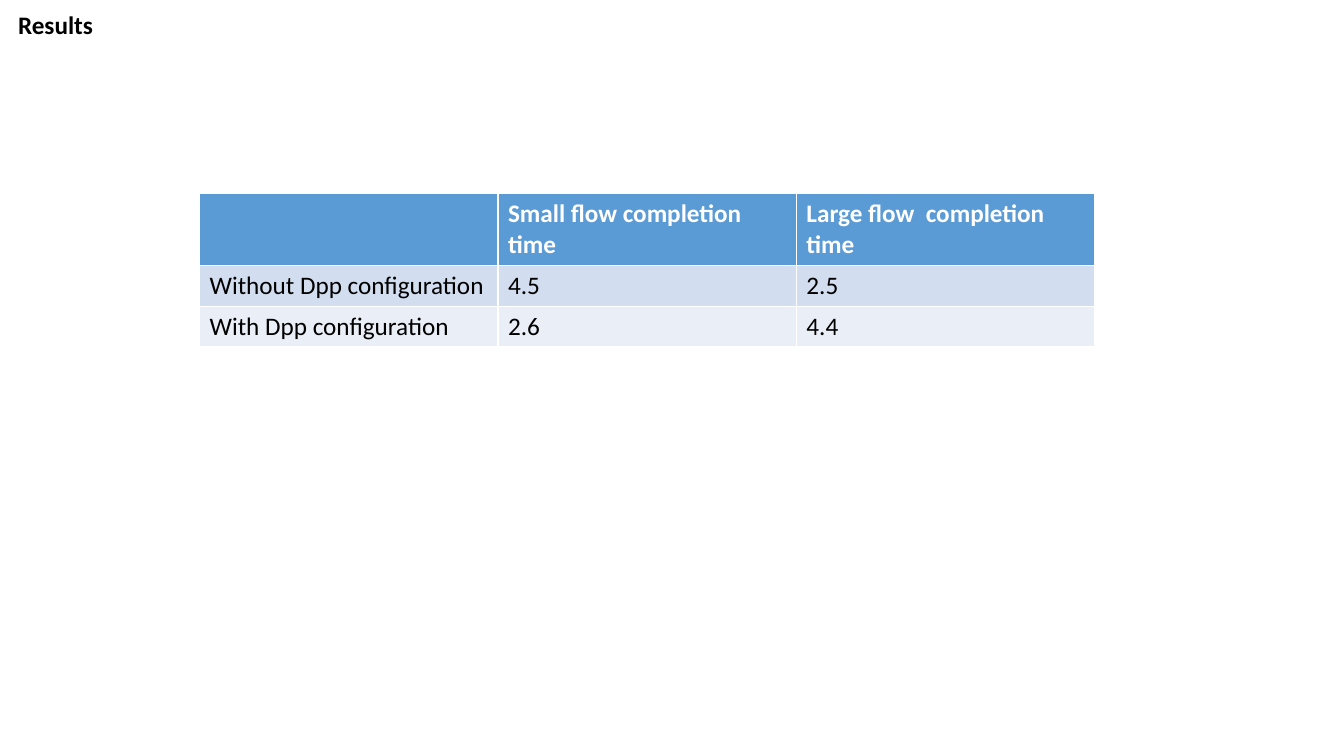
from pptx import Presentation
from pptx.dml.color import RGBColor
from pptx.enum.text import MSO_ANCHOR, MSO_AUTO_SIZE, PP_ALIGN
from pptx.util import Cm, Pt

TOP = MSO_ANCHOR.TOP
LEFT = PP_ALIGN.LEFT
NO_AUTOFIT = MSO_AUTO_SIZE.NONE
TITLE_ONLY = 5


def color(hex_code):
    return RGBColor.from_string(hex_code)


def add_text(frame, text, hex_code, bold):
    para = frame.paragraphs[0]
    para.alignment = LEFT
    span = para.add_run()
    span.text = text
    span.font.name = "Calibri"
    span.font.size = Pt(18)
    span.font.bold = bold
    span.font.color.rgb = color(hex_code)


deck = Presentation()
deck.slide_width = Cm(33.87)
deck.slide_height = Cm(19.05)
page = deck.slides.add_slide(deck.slide_layouts[TITLE_ONLY])
page.background.fill.solid()
page.background.fill.fore_color.rgb = color("FFFFFF")

title = page.shapes.title
title.left, title.top = Cm(0.2), Cm(0.1)
title.width, title.height = Cm(2.41), Cm(1.03)
title.text_frame.auto_size = NO_AUTOFIT
title.text_frame.word_wrap = False
title.text_frame.vertical_anchor = TOP
add_text(title.text_frame, "Results", "000000", True)

results = [
    ["", "Small flow completion time", "Large flow  completion time"],
    ["Without Dpp configuration", "4.5", "2.5"],
    ["With Dpp configuration", "2.6", "4.4"],
]
row_styles = [
    (1.78, "5B9BD5", "FFFFFF", True),
    (1.03, "D2DEEF", "000000", False),
    (1.03, "EAEFF7", "000000", False),
]
table = page.shapes.add_table(
    len(results), len(results[0]), Cm(5.03), Cm(4.88), Cm(22.56), Cm(3.84)
).table
for column in table.columns:
    column.width = Cm(7.52)

for row, texts, (height, fill, ink, bold) in zip(table.rows, results, row_styles):
    row.height = Cm(height)
    for cell, text in zip(row.cells, texts):
        cell.fill.solid()
        cell.fill.fore_color.rgb = color(fill)
        if text:
            add_text(cell.text_frame, text, ink, bold)

deck.save("out.pptx")
